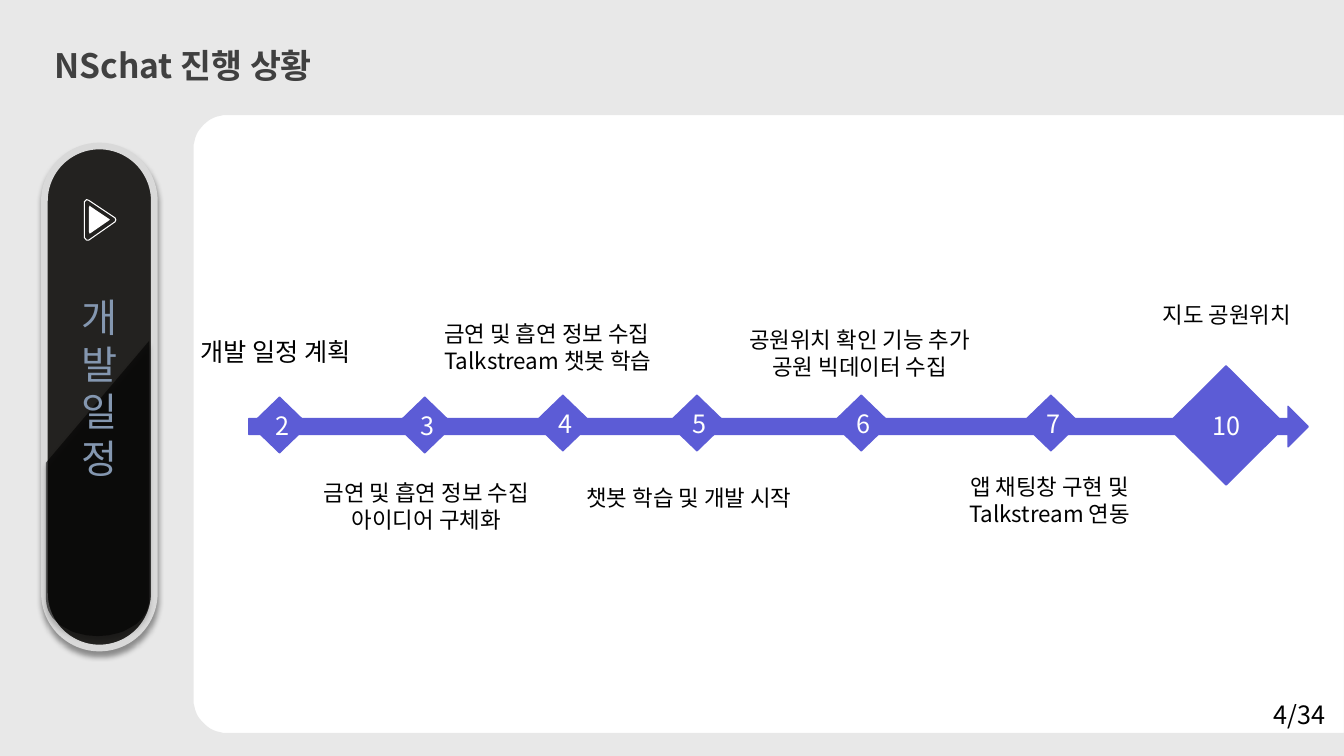
from math import cos, sin, radians
from lxml import etree
from pptx import Presentation
from pptx.dml.color import RGBColor
from pptx.enum import shapes, text
from pptx.oxml import parse_xml
from pptx.oxml.ns import qn
from pptx.util import Cm, Pt

FONT = "Noto Sans CJK KR"
GREY = RGBColor(0xE8, 0xE8, 0xE8)
DARK = RGBColor(0x23, 0x22, 0x20)
RIM = RGBColor(0xD9, 0xD9, 0xD9)
BLACK = RGBColor(0, 0, 0)
WHITE = RGBColor(255, 255, 255)
STEEL = RGBColor(0x84, 0x97, 0xB0)
TITLE = RGBColor(0x40, 0x40, 0x40)
VIOLET = RGBColor(0x5C, 0x5C, 0xD6)
LEFT, MID = text.PP_ALIGN.LEFT, text.PP_ALIGN.CENTER
SHADOW = (
    '<a:effectLst xmlns:a="http://schemas.openxmlformats.org/drawingml/2006/main">'
    '<a:outerShdw blurRad="50800" dist="38100" dir="5400000" algn="t" rotWithShape="0">'
    '<a:srgbClr val="000000"><a:alpha val="40000"/></a:srgbClr>'
    '</a:outerShdw></a:effectLst>'
)


def outline(owner, *loops):
    """Build one freeform from closed loops of points in centimetres."""
    loops = [[(x * 100, y * 100) for x, y in loop] for loop in loops]
    pen = owner.build_freeform(*loops[0][0], scale=Cm(0.01))
    pen.add_line_segments(loops[0][1:], close=True)
    for loop in loops[1:]:
        pen.move_to(*loop[0])
        pen.add_line_segments(loop[1:], close=True)
    return pen.convert_to_shape()


def write(shape, lines, size, color, align):
    frame = shape.text_frame
    for i, line in enumerate(lines.split("\n")):
        para = frame.add_paragraph() if i else frame.paragraphs[0]
        para.alignment = align
        run = para.add_run()
        run.text = line
        run.font.name, run.font.size = FONT, Pt(size)
        run.font.color.rgb = color
        east = etree.SubElement(run.font._element, qn("a:ea"))
        east.set("typeface", FONT)
    return frame


deck = Presentation()
deck.slide_width, deck.slide_height = Cm(33.87), Cm(19.05)
slide = deck.slides.add_slide(deck.slide_layouts[6])
tree = slide.shapes
kind = shapes.MSO_SHAPE

# Grey frame around the open panel
right, low, top, base, edge, bend = 33.87, 19.05, 2.9, 18.47, 4.88, 0.84
panel = []
for mid, start in ((top + bend, 270), (base - bend, 180)):
    for step in range(0, 91, 6):
        turn = radians(start - step)
        panel.append((edge + bend + bend * cos(turn), mid + bend * sin(turn)))
panel += [(right, base), (right, top)]
frame = outline(tree, panel, [(0, 0), (right, 0), (right, low), (0, low)])

# Side pill with gloss and play mark
pill = tree.add_shape(kind.ROUNDED_RECTANGLE, Cm(1.12), Cm(3.68), Cm(2.77), Cm(12.65))
pill.adjustments[0] = 0.5
curve = [(2.46 + 1.3 * cos(radians(a)), 15.11 + 0.92 * sin(radians(a)))
         for a in range(0, 181, 6)]
gloss = outline(tree, [(3.76, 8.59)] + curve + [(1.16, 11.66)])

label = tree.add_textbox(Cm(1.35), Cm(7.26), Cm(2.31), Cm(5.05))
body = write(label, "개발일정", 28, STEEL, MID)
body.word_wrap = True
body.auto_size = text.MSO_AUTO_SIZE.SHAPE_TO_FIT_TEXT

play = tree.add_group_shape()
ring = outline(play.shapes, [
    (2.9, 5.49), (2.24, 5.05), (2.18, 5.03), (2.13, 5.08), (2.13, 5.99),
    (2.18, 6.05), (2.24, 6.05), (2.9, 5.59), (2.92, 5.54)])
core = outline(play.shapes, [
    (2.74, 5.51), (2.29, 5.21), (2.26, 5.18), (2.24, 5.23), (2.24, 5.84),
    (2.26, 5.89), (2.29, 5.87), (2.74, 5.56), (2.77, 5.54)])

# Timeline
arrow = tree.add_shape(kind.RIGHT_ARROW, Cm(6.27), Cm(10.24), Cm(26.7), Cm(1.02))
arrow.adjustments[0], arrow.adjustments[1] = 0.395, 0.5
looks = [
    (frame, GREY, None, 0),
    (pill, DARK, RIM, 4.75),
    (gloss, BLACK, None, 0),
    (ring, None, WHITE, 0.75),
    (core, WHITE, None, 0),
    (arrow, VIOLET, VIOLET, 1),
]
for month, x, y, wide, high in (
    (2, 6.32, 10.01, 1.45, 1.4),
    (3, 9.98, 10.01, 1.45, 1.4),
    (4, 13.46, 9.96, 1.45, 1.4),
    (5, 16.84, 9.96, 1.45, 1.4),
    (6, 20.98, 9.96, 1.45, 1.4),
    (7, 25.76, 9.96, 1.45, 1.4),
    (10, 29.39, 9.22, 3.02, 3),
):
    mark = tree.add_shape(kind.DIAMOND, Cm(x), Cm(y), Cm(wide), Cm(high))
    body = write(mark, str(month), 18, WHITE, MID)
    body.vertical_anchor = text.MSO_ANCHOR.MIDDLE
    looks.append((mark, VIOLET, VIOLET, 1))

for shape, fill, line, width in looks:
    shape.shadow.inherit = False
    for part, color in ((shape.fill, fill), (shape.line.fill, line)):
        if color is None:
            part.background()
        else:
            part.solid()
            part.fore_color.rgb = color
    if line is not None:
        shape.line.width = Pt(width)

for shape in (pill, gloss):
    props = shape._element.spPr
    props.replace(props.find(qn("a:effectLst")), parse_xml(SHADOW))
tint = gloss._element.spPr.find(qn("a:solidFill"))[0]
etree.SubElement(tint, qn("a:alpha")).set("val", "57000")

# Title, notes along the timeline, page number
for words, x, y, wide, high, size, color, align, wrap in (
    ("NSchat 진행 상황", 1.12, 0.51, 18.42, 1.6, 24, TITLE, LEFT, True),
    ("개발 일정 계획", 4.8, 8.36, 4.83, 1.02, 18, BLACK, LEFT, False),
    ("금연 및 흡연 정보 수집\n아이디어 구체화", 7.52, 11.94, 6.45, 1.63, 16, BLACK, MID, False),
    ("금연 및 흡연 정보 수집\nTalkstream 챗봇 학습", 10.95, 7.95, 6.45, 1.63, 16, BLACK, LEFT, False),
    ("챗봇 학습 및 개발 시작", 14.53, 12.07, 6.45, 0.94, 16, BLACK, LEFT, False),
    ("공원위치 확인 기능 추가\n공원 빅데이터 수집", 18.26, 8.1, 6.81, 2.49, 16, BLACK, MID, False),
    ("앱 채팅창 구현 및 Talkstream 연동", 23.62, 11.79, 5.66, 1.63, 16, BLACK, MID, True),
    ("4/34", 31.85, 17.5, 2.44, 1.02, 18, BLACK, LEFT, True),
    ("지도 공원위치", 28.09, 7.47, 5.66, 0.94, 16, BLACK, MID, True),
):
    box = tree.add_textbox(Cm(x), Cm(y), Cm(wide), Cm(high))
    body = write(box, words, size, color, align)
    body.word_wrap = wrap
    body.auto_size = text.MSO_AUTO_SIZE.SHAPE_TO_FIT_TEXT
    if color == TITLE:
        body.paragraphs[0].line_spacing = 1.5
        body.paragraphs[0].runs[0].font.bold = True

deck.save("out.pptx")
